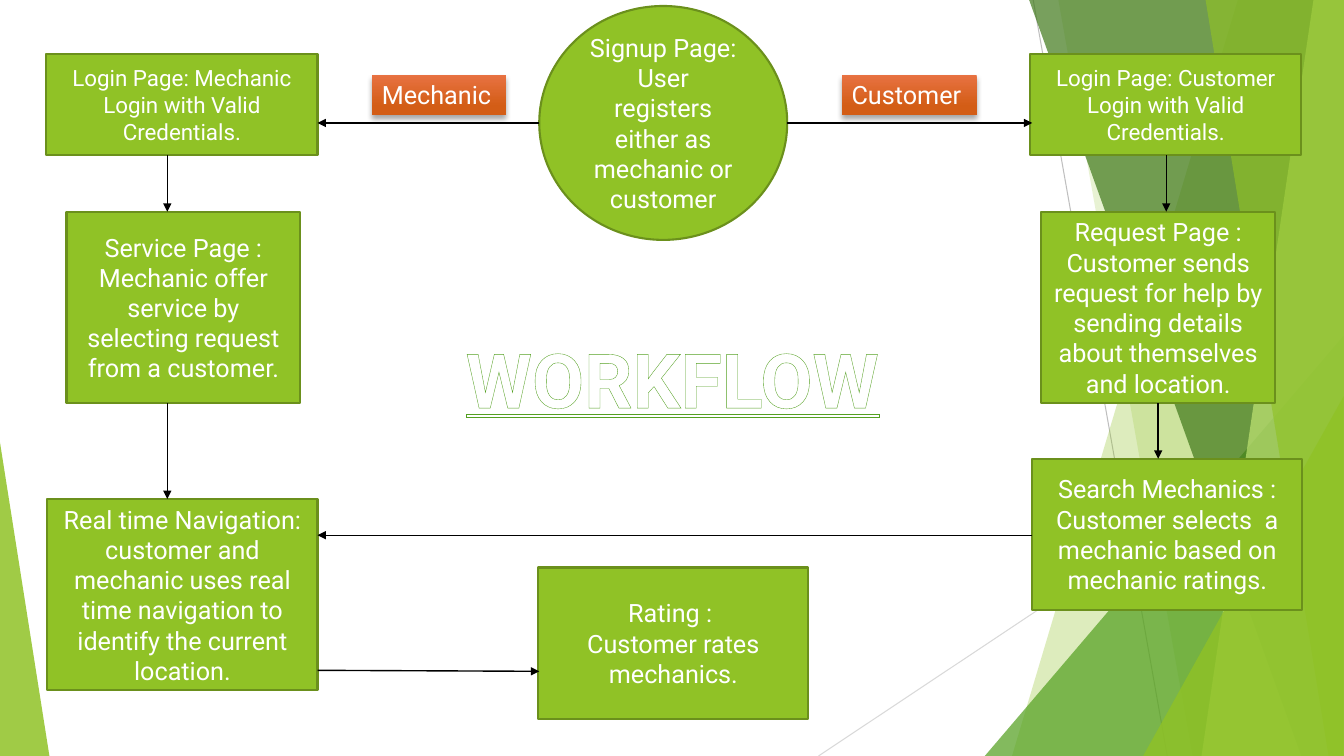
"""Build a workflow slide on a grid of tenth-of-an-inch columns and rows."""
from dataclasses import dataclass
from typing import Any, Optional

from lxml.etree import SubElement
from pptx import Presentation
from pptx.dml.color import RGBColor
from pptx.dml.fill import FillFormat
from pptx.enum.shapes import MSO_CONNECTOR, MSO_SHAPE
from pptx.enum.text import MSO_ANCHOR, MSO_AUTO_SIZE, PP_ALIGN
from pptx.oxml.ns import qn
from pptx.shapes.autoshape import Shape
from pptx.slide import Slide
from pptx.util import Inches, Pt

COLUMNS, ROWS = 133.33, 75
GREEN, DARK_GREEN, LEAF = "90C226", "6B901C", "54A021"
WHITE, BLACK = "FFFFFF", "000000"
STEP_FRAME = {"word_wrap": True, "vertical_anchor": MSO_ANCHOR.MIDDLE}
LABEL_FRAME = {
    "word_wrap": False,
    "vertical_anchor": MSO_ANCHOR.TOP,
    "auto_size": MSO_AUTO_SIZE.SHAPE_TO_FIT_TEXT,
}


@dataclass(frozen=True)
class Area:
    column: float
    row: float
    columns: float
    rows: float


@dataclass(frozen=True)
class Step:
    text: str
    area: Area
    size: int = 18
    preset: MSO_SHAPE = MSO_SHAPE.RECTANGLE


@dataclass(frozen=True)
class Line:
    begin: tuple[float, float]
    end: tuple[float, float]
    color: str = BLACK
    width: float = 1
    arrow: bool = True


@dataclass(frozen=True)
class Facet:
    points: tuple[tuple[float, float], ...]
    color: str
    opacity: int


@dataclass(frozen=True)
class Corner:
    area: Area
    apex: float
    color: str
    opacity: int


BACKDROP = (
    Line((102.5, 0), (115.8, ROWS), "BFBFBF", 0.75, False),
    Line((COLUMNS, 40.3), (81.2, ROWS), "D9D9D9", 0.75, False),
    Facet(((122.8, 0), (COLUMNS, 0), (COLUMNS, ROWS), (100.4, ROWS)), GREEN, 30),
    Facet(((105, 0), (COLUMNS, 0), (COLUMNS, ROWS), (118.3, ROWS)), GREEN, 20),
    Corner(Area(97.7, 33.3, 35.6, 41.7), 1, LEAF, 72),
    Facet(((102.1, 0), (COLUMNS, 0), (COLUMNS, ROWS), (129.1, ROWS)), "3F7819", 70),
    Facet(((130.3, 0), (COLUMNS, 0), (COLUMNS, ROWS), (119.2, ROWS)), "C0E474", 70),
    Facet(((119.6, 0), (COLUMNS, 0), (COLUMNS, ROWS), (131.8, ROWS)), GREEN, 65),
    Corner(Area(113.4, 39.3, 19.9, 35.7), 1, GREEN, 80),
    Corner(Area(0, 43.9, 4.9, 31.1), 0, GREEN, 85),
)
STEPS = (
    Step("Signup Page: User registers either as mechanic or customer",
         Area(53.5, 0.6, 24.6, 23.2), preset=MSO_SHAPE.OVAL),
    Step("Login Page: Mechanic Login with Valid Credentials.", Area(4.6, 5.4, 26.9, 10), 16),
    Step("Login Page: Customer Login with Valid Credentials.", Area(102.2, 5.4, 26.9, 10), 16),
    Step("Service Page : Mechanic offer service by selecting request from a customer.",
         Area(6.6, 21, 23.2, 19)),
    Step("Request Page : Customer sends request for help by sending details about "
         "themselves and location.", Area(103.3, 21, 23.2, 19)),
    Step("Real time Navigation: customer and mechanic uses real time navigation to "
         "identify the current location.", Area(4.7, 49.5, 26.8, 19)),
    Step("Search Mechanics : Customer selects  a mechanic based on mechanic ratings.",
         Area(102.4, 45.5, 26.8, 15)),
    Step("Rating : \nCustomer rates mechanics.", Area(53.4, 56.3, 26.8, 15)),
)
ARROWS = (
    Line((53.5, 12.2), (31.5, 12.2)),
    Line((78.1, 12.2), (102.4, 12.2)),
    Line((115.7, 15.4), (115.7, 21)),
    Line((16.6, 15.4), (16.6, 21)),
    Line((16.6, 40), (16.6, 49.5)),
    Line((31.5, 66.5), (53.5, 66.6)),
    Line((102.4, 53.1), (31.5, 53.1)),
    Line((114.9, 40), (114.9, 45.5)),
)
LABELS = (
    Step("Mechanic", Area(36.9, 7.4, 13.3, 4)),
    Step("Customer", Area(83.5, 7.4, 13.4, 4)),
)
TITLE = Step("WORKFLOW", Area(44.7, 32.5, 44, 10.1), 54)


def grid(cells: float) -> int:
    return Inches(cells / 10)


def color(value: str) -> RGBColor:
    return RGBColor.from_string(value)


def place(area: Area) -> tuple[int, int, int, int]:
    return grid(area.column), grid(area.row), grid(area.columns), grid(area.rows)


def apply_format(target: Any, values: dict[str, Any]) -> None:
    for name, value in values.items():
        setattr(target, name, value)


def paint(fill: FillFormat, value: str) -> None:
    fill.solid()
    fill.fore_color.rgb = color(value)


def write(shape: Shape, step: Step, frame: dict[str, Any], alignment: PP_ALIGN,
          extra: Optional[dict[str, Any]] = None) -> None:
    shape.text_frame.text = step.text
    apply_format(shape.text_frame, frame)
    for paragraph in shape.text_frame.paragraphs:
        paragraph.alignment = alignment
        for run in paragraph.runs:
            apply_format(run.font, {"name": "Roboto", "size": Pt(step.size), **(extra or {})})
            paint(run.font.fill, WHITE)


def draw_line(slide: Slide, line: Line) -> None:
    ends = [grid(cells) for cells in (*line.begin, *line.end)]
    connector = slide.shapes.add_connector(MSO_CONNECTOR.STRAIGHT, *ends)
    paint(connector.line.fill, line.color)
    connector.line.width = Pt(line.width)
    properties = connector.element.spPr
    if line.arrow:
        SubElement(properties.find(qn("a:ln")), qn("a:tailEnd"), type="triangle")
    SubElement(properties, qn("a:effectLst"))


def tint(shape: Shape, value: str, opacity: int) -> None:
    shape.shadow.inherit = False
    shape.line.fill.background()
    paint(shape.fill, value)
    swatch = shape.element.spPr.find(f"{qn('a:solidFill')}/{qn('a:srgbClr')}")
    SubElement(swatch, qn("a:alpha"), val=str(opacity * 1000))


def draw_facet(slide: Slide, facet: Facet) -> None:
    first, *others = [(grid(x), grid(y)) for x, y in facet.points]
    builder = slide.shapes.build_freeform(*first)
    builder.add_line_segments(others, close=True)
    tint(builder.convert_to_shape(), facet.color, facet.opacity)


def draw_corner(slide: Slide, corner: Corner) -> None:
    shape = slide.shapes.add_shape(MSO_SHAPE.ISOSCELES_TRIANGLE, *place(corner.area))
    shape.adjustments[0] = corner.apex
    tint(shape, corner.color, corner.opacity)


def draw_step(slide: Slide, step: Step) -> None:
    shape = slide.shapes.add_shape(step.preset, *place(step.area))
    shape.shadow.inherit = False
    paint(shape.fill, GREEN)
    paint(shape.line.fill, DARK_GREEN)
    shape.line.width = Pt(1.5)
    write(shape, step, STEP_FRAME, PP_ALIGN.CENTER)


def draw_label(slide: Slide, label: Step) -> None:
    shape = slide.shapes.add_shape(label.preset, *place(label.area))
    shape.line.fill.background()
    shape.fill.gradient()
    shape.fill.gradient_angle = 270
    for stop, position, value in zip(shape.fill.gradient_stops, (0, 0.78), ("E87242", "D35D16")):
        stop.position = position
        stop.color.rgb = color(value)
    shape.shadow.inherit = False
    shadow = SubElement(shape.element.spPr.find(qn("a:effectLst")), qn("a:outerShdw"),
                        blurRad=str(Pt(4)), dist=str(Pt(3)), dir="5400000", rotWithShape="0")
    swatch = SubElement(shadow, qn("a:srgbClr"), val=BLACK)
    SubElement(swatch, qn("a:alpha"), val="35000")
    write(shape, label, LABEL_FRAME, PP_ALIGN.LEFT)


def draw_title(slide: Slide, title: Step) -> None:
    box = slide.shapes.add_textbox(*place(title.area))
    write(box, title, LABEL_FRAME, PP_ALIGN.CENTER, {"bold": True, "underline": True})
    properties = box.text_frame.paragraphs[0].runs[0].font.fill
    for run_properties in box.element.iter(qn("a:rPr")):
        outline = SubElement(run_properties, qn("a:ln"), w=str(Pt(0.52)))
        run_properties.insert(0, outline)
        SubElement(SubElement(outline, qn("a:solidFill")), qn("a:srgbClr"), val=LEAF)


def main() -> None:
    presentation = Presentation()
    apply_format(presentation, {"slide_width": grid(COLUMNS), "slide_height": grid(ROWS)})
    slide = presentation.slides.add_slide(presentation.slide_layouts[6])
    painters = {Line: draw_line, Facet: draw_facet, Corner: draw_corner}
    for part in BACKDROP:
        painters[type(part)](slide, part)
    for draw, items in ((draw_step, STEPS), (draw_line, ARROWS),
                        (draw_label, LABELS), (draw_title, (TITLE,))):
        for item in items:
            draw(slide, item)
    presentation.save("out.pptx")


if __name__ == "__main__":
    main()
